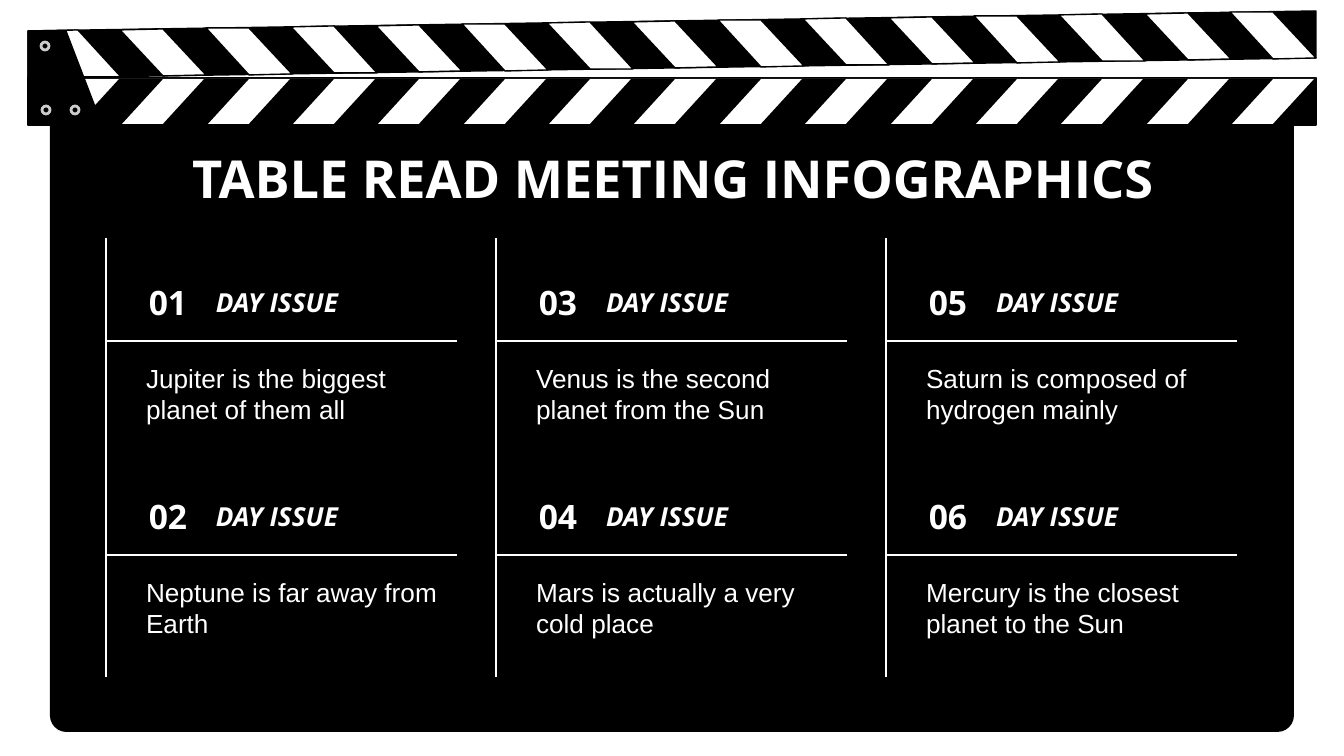
from dataclasses import dataclass

from lxml import etree
from pptx import Presentation
from pptx.dml.color import RGBColor
from pptx.enum.shapes import MSO_CONNECTOR, MSO_SHAPE
from pptx.enum.text import MSO_ANCHOR, PP_ALIGN
from pptx.oxml.ns import qn
from pptx.util import Emu, Pt

PX = 914400 / 134.4
STRAIGHT = MSO_CONNECTOR.STRAIGHT
ROUNDED, OVAL = MSO_SHAPE.ROUNDED_RECTANGLE, MSO_SHAPE.OVAL
TOP, MIDDLE = MSO_ANCHOR.TOP, MSO_ANCHOR.MIDDLE
LEFT, CENTER = PP_ALIGN.LEFT, PP_ALIGN.CENTER


@dataclass(frozen=True)
class Theme:
    black: str = "000000"
    white: str = "FFFFFF"
    seam: str = "171717"
    rivet: str = "CCCCCC"
    heading_font: str = "Open Sans"
    body_font: str = "Arial"
    title_size: int = 28
    number_size: int = 18
    text_size: int = 14
    rule: float = 1.5
    outline: float = 0.75
    seam_width: float = 0.5


@dataclass(frozen=True)
class TextStyle:
    font: str
    size: int
    bold: bool = False
    italic: bool = False
    align: int = LEFT
    anchor: int = TOP


@dataclass(frozen=True)
class Issue:
    number: str
    body: str


T = Theme()
TITLE = TextStyle(T.heading_font, T.title_size, bold=True, align=CENTER)
NUMBER = TextStyle(T.heading_font, T.number_size, bold=True, align=CENTER, anchor=MIDDLE)
LABEL = TextStyle(T.heading_font, T.text_size, bold=True, italic=True)
BODY = TextStyle(T.body_font, T.text_size)

COLUMNS = [
    [Issue("01", "Jupiter is the biggest planet of them all"),
     Issue("02", "Neptune is far away from Earth")],
    [Issue("03", "Venus is the second planet from the Sun"),
     Issue("04", "Mars is actually a very cold place")],
    [Issue("05", "Saturn is composed of hydrogen mainly"),
     Issue("06", "Mercury is the closest planet to the Sun")],
]

BAR_LEFT, BAR_RIGHT, BAR_TOP, BAR_BOTTOM = 28, 1316, 78, 125
ARM_LEFT_TOP, ARM_RISE, ARM_HEIGHT = 31, 20, 47
STRIPES, FIRST_STRIPE, LAST_STRIPE, STRIPE = 15, 35, 1230, 43
RIVETS, RIVET = [(45, 46), (46, 110), (75, 110)], 8
GRID_LEFT, GRID_TOP, GRID_BOTTOM = 106, 238, 677
COL_PITCH, ROW_PITCH, RULE_WIDTH = 390, 214, 351
INSET = 13


def px(n: float) -> Emu:
    return Emu(round(n * PX))


def rgb(color: str) -> RGBColor:
    return RGBColor.from_string(color)


def paint(sp, fill: str, line: str, width: float) -> None:
    sp.shadow.inherit = False
    sp.fill.solid()
    sp.fill.fore_color.rgb = rgb(fill)
    sp.line.color.rgb = rgb(line)
    sp.line.width = Pt(width)


def add_polygon(s, points: list[tuple[int, int]], fill: str) -> None:
    builder = s.shapes.build_freeform(*points[0], scale=PX)
    builder.add_line_segments(points[1:], close=True)
    paint(builder.convert_to_shape(), fill, T.black, T.outline)


def add_line(s, x1: int, y1: int, x2: int, y2: int,
             color: str = T.white, width: float = T.rule) -> None:
    sp = s.shapes.add_connector(STRAIGHT, px(x1), px(y1), px(x2), px(y2))
    sp.line.color.rgb = rgb(color)
    sp.line.width = Pt(width)
    etree.SubElement(sp._element.spPr, qn("a:effectLst"))


def write(sp, text: str, style: TextStyle) -> None:
    tf = sp.text_frame
    tf.text = text
    tf.word_wrap = True
    tf.vertical_anchor = style.anchor
    tf.margin_left = tf.margin_right = tf.margin_top = tf.margin_bottom = px(INSET)
    p = tf.paragraphs[0]
    p.alignment = style.align
    font = p.runs[0].font
    font.name, font.size = style.font, Pt(style.size)
    font.bold, font.italic = style.bold, style.italic
    font.color.rgb = rgb(T.white)


def add_text(s, x: int, y: int, w: int, h: int, text: str, style: TextStyle) -> None:
    write(s.shapes.add_textbox(px(x), px(y), px(w), px(h)), text, style)


def arm_top(x: int) -> int:
    return round(ARM_LEFT_TOP - ARM_RISE * (x - BAR_LEFT) / (BAR_RIGHT - BAR_LEFT))


def arm_bottom(x: int) -> int:
    return arm_top(x) + ARM_HEIGHT


def draw_clapper(s) -> None:
    panel = s.shapes.add_shape(ROUNDED, px(50), px(97), px(1244), px(635))
    panel.adjustments[0] = 0.026
    paint(panel, T.black, T.black, T.outline)
    panel.line.fill.background()

    add_polygon(s, [(BAR_LEFT, BAR_TOP), (BAR_LEFT, BAR_BOTTOM),
                    (BAR_RIGHT, BAR_BOTTOM), (BAR_RIGHT, BAR_TOP)], T.black)
    add_polygon(s, [(BAR_RIGHT, arm_top(BAR_RIGHT)), (BAR_LEFT, arm_top(BAR_LEFT)),
                    (BAR_LEFT, arm_bottom(BAR_LEFT)), (BAR_RIGHT, arm_bottom(BAR_RIGHT))], T.black)
    for i in range(STRIPES):
        x = round(FIRST_STRIPE + i * (LAST_STRIPE - FIRST_STRIPE) / (STRIPES - 1))
        mid, end = x + STRIPE, x + 2 * STRIPE
        add_polygon(s, [(mid, BAR_TOP), (x, BAR_BOTTOM), (mid, BAR_BOTTOM), (end, BAR_TOP)], T.white)
        add_polygon(s, [(mid, arm_top(mid)), (x, arm_top(x)),
                        (mid, arm_bottom(mid)), (end, arm_bottom(end))], T.white)
    add_line(s, BAR_LEFT, BAR_TOP, BAR_RIGHT, BAR_TOP, T.seam, T.seam_width)

    add_polygon(s, [(BAR_LEFT, ARM_LEFT_TOP), (BAR_LEFT, BAR_BOTTOM),
                    (102, BAR_BOTTOM), (66, ARM_LEFT_TOP)], T.black)
    for x, y in RIVETS:
        rivet = s.shapes.add_shape(OVAL, px(x - RIVET / 2), px(y - RIVET / 2), px(RIVET), px(RIVET))
        paint(rivet, T.black, T.rivet, T.rule)


def draw_issue(s, x: int, y: int, issue: Issue) -> None:
    add_text(s, x + 97, y, 255, 59, "DAY ISSUE", LABEL)
    add_text(s, x + 27, y + 76, 324, 78, issue.body, BODY)
    add_text(s, x + 27, y, 70, 59, issue.number, NUMBER)
    add_line(s, x, y + 68, x + RULE_WIDTH, y + 68)


def main() -> None:
    prs = Presentation()
    prs.slide_width, prs.slide_height = px(1344), px(756)
    s = prs.slides.add_slide(prs.slide_layouts[5])
    draw_clapper(s)

    title = s.shapes.title
    title.left, title.top, title.width, title.height = px(106), px(133), px(1133), px(85)
    write(title, "TABLE READ MEETING INFOGRAPHICS", TITLE)
    tree = s.shapes._spTree
    tree.remove(title._element)
    tree.append(title._element)

    for c, issues in enumerate(COLUMNS):
        x = GRID_LEFT + c * COL_PITCH
        add_line(s, x, GRID_TOP, x, GRID_BOTTOM)
        for r, issue in enumerate(issues):
            draw_issue(s, x, 273 + r * ROW_PITCH, issue)
    prs.save("out.pptx")


if __name__ == "__main__":
    main()
